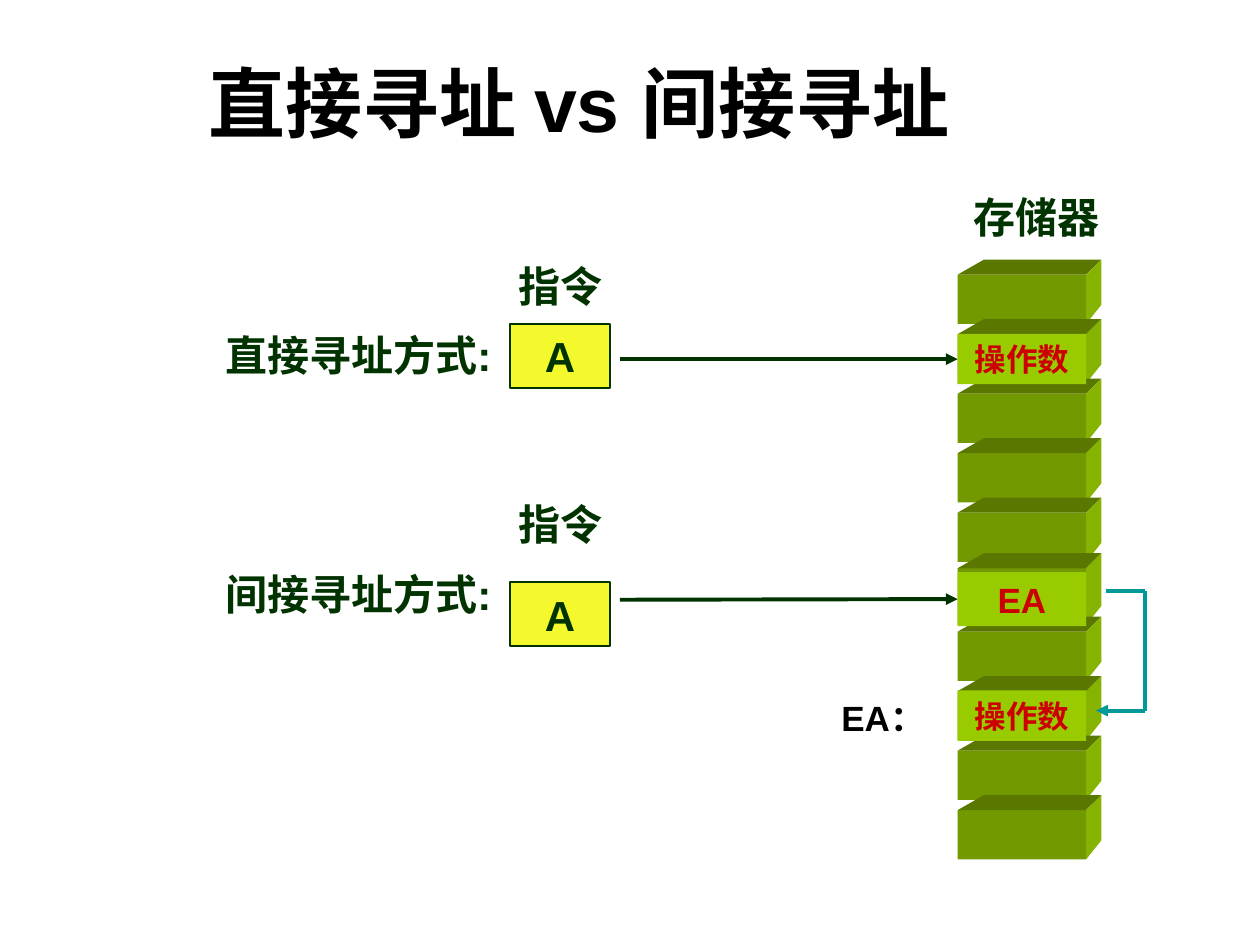
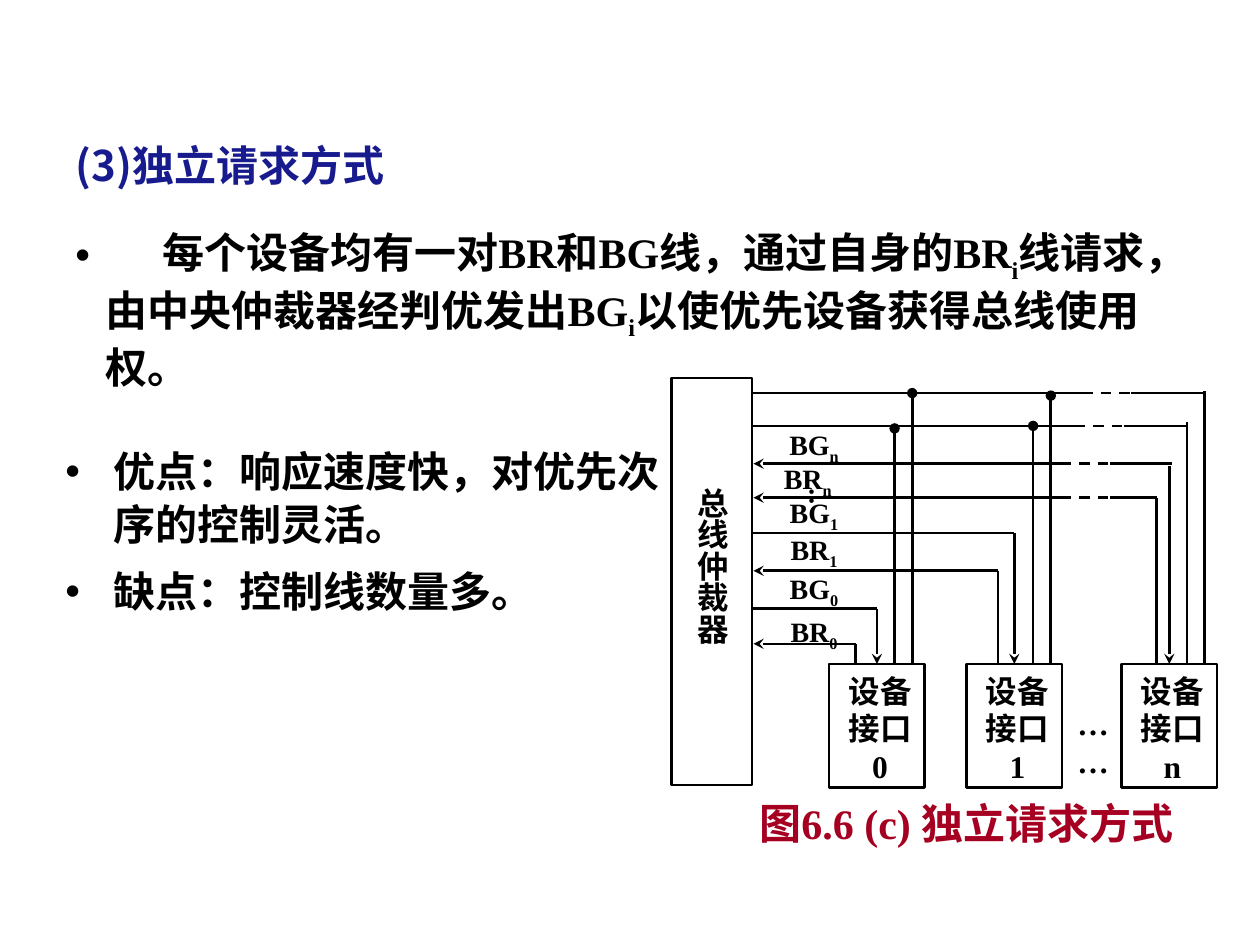
from typing import Any, NamedTuple, Optional

import pptx
import pptx.util
import pptx.dml.color
import pptx.enum.dml
import pptx.enum.shapes
import pptx.enum.text
import pptx.oxml
import pptx.oxml.ns

Inches = pptx.util.Inches
Pt = pptx.util.Pt
ALIGN = pptx.enum.text.PP_ALIGN
ANCHOR = pptx.enum.text.MSO_ANCHOR
RECT = pptx.enum.shapes.MSO_SHAPE.RECTANGLE

HUES = {
    "black": "000000", "white": "FFFFFF", "green": "003300", "yellow": "F4F92D",
    "lime": "99CC00", "front": "739900", "top": "5A7800", "side": "86B300",
    "red": "CC0000", "teal": "009999", "navy": "181B8E", "wine": "A50021",
}
SANS = "Noto Sans CJK SC"
SERIF = "Times New Roman"


class Style(NamedTuple):
    size: int
    hue: str = "black"
    font: str = "Arial"


class Box(NamedTuple):
    x: float
    y: float
    w: float
    h: float


class Wire(NamedTuple):
    x1: float
    y1: float
    x2: float
    y2: float
    tail: str = ""
    dash: bool = False
    hue: str = "black"
    width: float = 1.5


class Port(NamedTuple):
    name: str
    left: float
    top: float
    grant: float
    call: float


LABEL = Style(24, "green")
DATA = Style(18, "red")
SMALL = Style(16, font=SERIF)
PLAIN = Style(18, font=SERIF)
HEAVY = Style(24, font=SERIF)
POINT = Style(24, font=SANS)


def rgb(hue: str) -> Any:
    return pptx.dml.color.RGBColor.from_string(HUES[hue])


def node(tag: str, **attrs: str) -> Any:
    item = pptx.oxml.parse_xml(f"<a:{tag} {pptx.oxml.ns.nsdecls('a')}/>")
    for key, value in attrs.items():
        item.set(key, value)
    return item


def paint(run: Any, style: Style) -> None:
    font = run.font
    font.size = Pt(style.size)
    font.bold = True
    font.name = style.font
    font.color.rgb = rgb(style.hue)
    run._r.get_or_add_rPr().append(node("ea", typeface=SANS))


def write(shape: Any, lines: list[str], style: Style, align: Any = ALIGN.CENTER,
          anchor: Any = ANCHOR.TOP, inset: bool = True) -> Any:
    frame = shape.text_frame
    frame.word_wrap = True
    frame.vertical_anchor = anchor
    if not inset:
        frame.margin_left = frame.margin_right = 0
        frame.margin_top = frame.margin_bottom = 0
    for i, line in enumerate(lines):
        para = frame.add_paragraph() if i else frame.paragraphs[0]
        para.alignment = align
        parts = line.split("_")
        para.text = parts[0]
        for part in parts[1:]:
            para.add_run().text = part[0]
            para.runs[-1]._r.get_or_add_rPr().set("baseline", "-25000")
            if part[1:]:
                para.add_run().text = part[1:]
        for run in para.runs:
            paint(run, style)
    return shape


def place(box: Box) -> list[Any]:
    return [Inches(value) for value in box]


def text(slide: Any, box: Box, line: str, style: Style, **opts: Any) -> Any:
    return write(slide.shapes.add_textbox(*place(box)), [line], style, **opts)


def upright(slide: Any, box: Box, line: str, style: Style) -> None:
    shape = text(slide, box, line, style, align=ALIGN.JUSTIFY, inset=False)
    shape.text_frame._txBody.bodyPr.set("vert", "eaVert")


def block(slide: Any, box: Box, fill: str, edge: str = "", width: float = 1.5) -> Any:
    shape = slide.shapes.add_shape(RECT, *place(box))
    shape.shadow.inherit = False
    shape.fill.solid()
    shape.fill.fore_color.rgb = rgb(fill)
    if edge:
        shape.line.color.rgb = rgb(edge)
        shape.line.width = Pt(width)
    else:
        shape.line.fill.background()
    return shape


def draw(slide: Any, wire: Wire, goal: Optional[Any] = None, side: int = 0) -> None:
    ends = [Inches(value) for value in wire[:4]]
    line = slide.shapes.add_connector(pptx.enum.shapes.MSO_CONNECTOR.STRAIGHT, *ends)
    line.line.color.rgb = rgb(wire.hue)
    line.line.width = Pt(wire.width)
    if wire.dash:
        line.line.dash_style = pptx.enum.dml.MSO_LINE.DASH
    if wire.tail:
        line.line._get_or_add_ln().append(node("tailEnd", type=wire.tail))
    line._element.spPr.append(node("effectLst"))
    if goal is not None:
        line.end_connect(goal, side)


def facet(slide: Any, points: list[tuple[float, float]], hue: str) -> None:
    spots = [(Inches(x), Inches(y)) for x, y in points]
    pen = slide.shapes.build_freeform(*spots[0])
    pen.add_line_segments(spots[1:], close=True)
    shape = pen.convert_to_shape()
    shape.shadow.inherit = False
    shape.fill.solid()
    shape.fill.fore_color.rgb = rgb(hue)
    shape.line.fill.background()


def cube(slide: Any, box: Box) -> None:
    x, y, w, h = box
    right, deep = x + w, 0.12
    block(slide, box, "front")
    facet(slide, [(x, y), (x + 0.21, y - deep), (right + deep, y - deep), (right, y)], "top")
    facet(slide, [(right, y), (right + deep, y - deep),
                  (right + deep, y + h - 0.15), (right, y + h)], "side")


def bullet(para: Any, indent: float, tab: float = 0) -> None:
    props = para._p.get_or_add_pPr()
    props.set("marL", str(Inches(indent)))
    props.set("indent", str(-Inches(indent)))
    props.append(node("buFont", typeface="Arial"))
    props.append(node("buChar", char="•"))
    if tab:
        stops = node("tabLst")
        stops.append(node("tab", pos=str(Inches(tab)), algn="l"))
        props.append(stops)


def modes(slide: Any) -> None:
    text(slide, Box(0.21, 0.31, 8.77, 1), "直接寻址 vs 间接寻址", Style(44), anchor=ANCHOR.MIDDLE)
    text(slide, Box(7.6, 1.47, 1.26, 0.5), "存储器", LABEL)
    left, wide, first, count = 7.6, 1.02, 2.18, 10
    step = (6.43 - first) / (count - 1)
    for i in range(count):
        box = Box(left, first + i * step, wide, 0.39)
        cube(slide, Box(left, 4.51, wide, 0.45) if i == 5 else box)
    cells = []
    for y, h, word, style in ((2.65, 0.4, "操作数", DATA), (4.54, 0.43, "EA", Style(20, "red")),
                              (5.48, 0.4, "操作数", DATA)):
        cell = block(slide, Box(left, y, wide, h), "lime")
        cells.append(write(cell, [word], style))
    rows = (("直接寻址方式:", 2.02, 2.57, 2.85), ("间接寻址方式:", 3.91, 4.62, 4.76))
    for (name, y, top, mid), cell in zip(rows, cells):
        text(slide, Box(3.9, y, 1.1, 0.5), "指令", LABEL)
        text(slide, Box(1.69, y + 0.55, 2.52, 0.5), name, LABEL, align=ALIGN.LEFT)
        code = block(slide, Box(4.05, top, 0.79, 0.51), "yellow", "green", 1)
        write(code, ["A"], LABEL, anchor=ANCHOR.MIDDLE)
        draw(slide, Wire(4.92, mid, left, mid, "triangle", hue="green", width=2.25), cell, 1)
    bend, start, stop = 9.09, 4.69, 5.64
    for ends, tail in (((8.78, start, bend, start), ""), ((bend, start, bend, stop), ""),
                       ((bend, stop, 8.7, stop), "triangle")):
        draw(slide, Wire(*ends, tail, hue="teal", width=2.25))
    text(slide, Box(6.5, 5.48, 1.02, 0.43), "EA：", Style(20))


def notes(slide: Any) -> None:
    text(slide, Box(-0.3, 1.02, 4.25, 0.58), "(3)独立请求方式", Style(24, "navy", SANS),
         anchor=ANCHOR.MIDDLE)
    lead = text(slide, Box(0.5, 1.75, 8.75, 1.3),
                "\t每个设备均有一对BR和BG线，通过自身的BR_i线请求，"
                "由中央仲裁器经判优发出BG_i以使优先设备获得总线使用权。", HEAVY, align=ALIGN.LEFT)
    bullet(lead.text_frame.paragraphs[0], 0.24, 0.69)
    body = slide.shapes.add_textbox(*place(Box(0.42, 3.47, 4.92, 1.95)))
    write(body, ["优点：响应速度快，对优先次 序的控制灵活。", "缺点：控制线数量多。"],
          POINT, ALIGN.LEFT)
    for i, para in enumerate(body.text_frame.paragraphs):
        para.line_spacing = 1.05
        if i:
            para.space_before = Pt(8)
        bullet(para, 0.38)


def buses(slide: Any) -> None:
    bus, top = 5.98, 5.27
    block(slide, Box(5.33, 3, 0.64, 3.23), "white", "black")
    upright(slide, Box(5.52, 3.87, 0.28, 1.8), "总线仲裁器", PLAIN)
    ports = (Port("0", 6.58, 4.83, 4.83, 5.11), Port("1", 7.67, 4.23, 4.23, 4.53),
             Port("n", 8.9, 3.7, 3.68, 3.95))
    for port in ports:
        mid = port.left + 0.38
        card = block(slide, Box(port.left, top, 0.76, 0.98), "white", "black")
        words = slide.shapes.add_textbox(*place(Box(port.left + 0.07, 5.33, 0.67, 0.77)))
        write(words, ["设备接口", port.name], PLAIN, inset=False)
        draw(slide, Wire(mid, port.top, mid, top, "stealth"), card)
        call = mid - (0.17 if port.name == "0" else 0.13)
        if port.name == "n":
            call = 9.18
        else:
            draw(slide, Wire(bus, port.grant, mid, port.grant))
            draw(slide, Wire(call, port.call, bus, port.call, "stealth"))
        draw(slide, Wire(call, top, call, port.call))
    for x, y, tail in ((7.1, 3.4, "oval"), (7.24, 3.12, "oval"), (8.2, 3.38, "oval"),
                       (8.34, 3.14, "oval"), (9.42, 3.35, ""), (9.56, 3.1, "")):
        draw(slide, Wire(x, top, x, y, tail))
    for y, gap, end, tail in ((3.12, 8.59, 9.56, ""), (3.38, 8.53, 9.42, ""),
                              (3.68, 8.42, 9.3, "stealth"), (3.95, 8.42, 9.18, "stealth")):
        draw(slide, Wire(gap, y, bus, y, tail))
        draw(slide, Wire(gap, y, gap + 0.39, y, dash=True))
        draw(slide, Wire(gap + 0.39, y, end, y))
    for name, x, y in (("BR_0", 6.09, 4.88), ("BG_0", 6.09, 4.54), ("BR_1", 6.09, 4.23),
                       ("BG_1", 6.09, 3.93), ("BR_n", 6.04, 3.66), ("BG_n", 6.09, 3.39)):
        text(slide, Box(x, y, 0.74, 0.4), name, SMALL, inset=False)
    upright(slide, Box(6.31, 3.87, 0.28, 0.47), "··", SMALL)
    text(slide, Box(8.43, 5.59, 0.49, 0.42), "……", PLAIN, inset=False)
    text(slide, Box(5.92, 6.33, 3.5, 0.53), "图6.6 (c) 独立请求方式",
         Style(24, "wine", SERIF), inset=False)


def main() -> None:
    deck = pptx.Presentation()
    deck.slide_width, deck.slide_height = Inches(10), Inches(7.5)
    blank = deck.slide_layouts[6]
    modes(deck.slides.add_slide(blank))
    page = deck.slides.add_slide(blank)
    notes(page)
    buses(page)
    deck.save("out.pptx")


if __name__ == "__main__":
    main()
